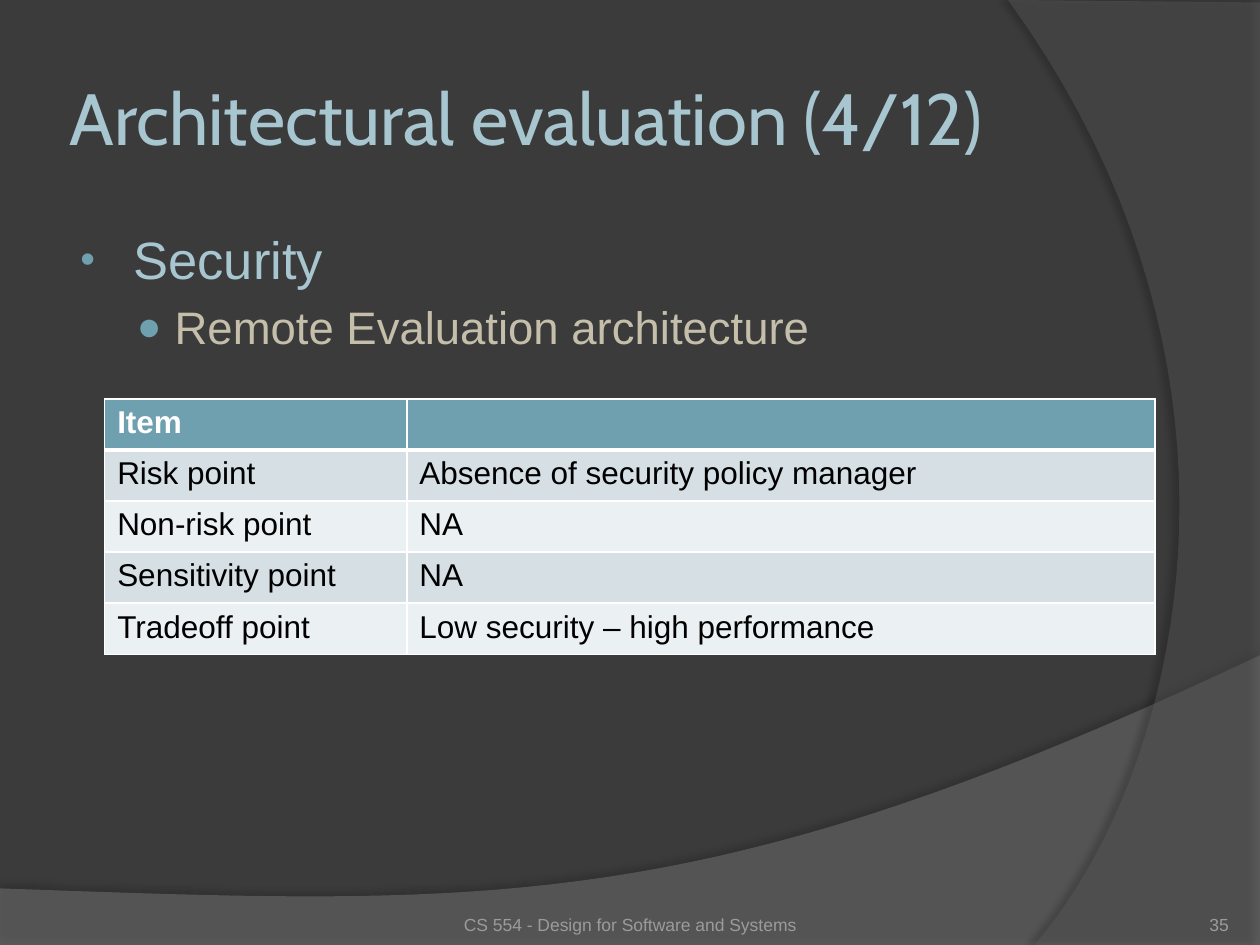
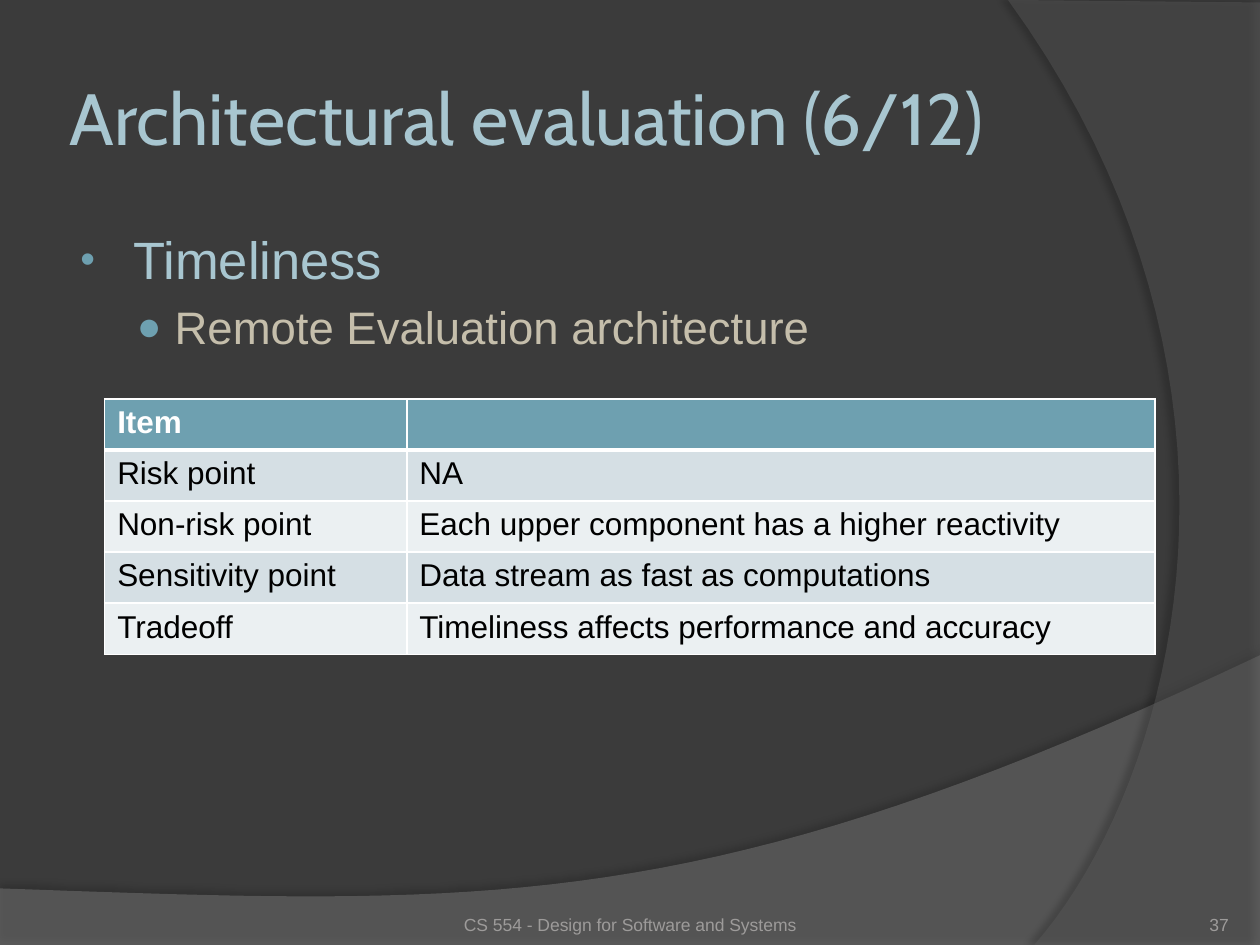
"""Build two architecture evaluation slides with a shared dark, curved theme."""
import pptx
import pptx.util
import pptx.dml.color
import pptx.enum.text
import pptx.oxml
import pptx.oxml.ns

Cm, Pt = pptx.util.Cm, pptx.util.Pt
ALIGN = pptx.enum.text.PP_ALIGN
ANCHOR = pptx.enum.text.MSO_ANCHOR
NS = pptx.oxml.ns.nsdecls("a")

HUES = {
    "back": "3B3B3B", "low": "7F7F7F", "side": "5E5E5E", "dark": "000000",
    "title": "A8C6D0", "sub": "C5BEAB", "mark": "6EA0B0", "foot": "9D9B9A",
    "white": "FFFFFF", "odd": "D5DFE4", "even": "EBF0F2",
}
COURSE = "CS 554 - Design for Software and Systems"
STYLE = "Remote Evaluation architecture"
SLIDES = [
    {"part": 4, "page": 35, "topic": "Security", "rows": [
        ("Item", ""),
        ("Risk point", "Absence of security policy manager"),
        ("Non-risk point", "NA"),
        ("Sensitivity point", "NA"),
        ("Tradeoff point", "Low security – high performance")]},
    {"part": 6, "page": 37, "topic": "Timeliness", "rows": [
        ("Item", ""),
        ("Risk point", "NA"),
        ("Non-risk point", "Each upper component has a higher reactivity"),
        ("Sensitivity point", "Data stream as fast as computations"),
        ("Tradeoff", "Timeliness affects performance and accuracy")]},
]
BANDS = [
    {"hue": "low", "alpha": 45,
     "edge": [(0, 19.05), (25.4, 19.05)],
     "curve": [(25.4, 13.21), (14.2, 18.52), (9.93, 18.26), (0, 17.91)],
     "shade": (35, 4, 3.5, 270)},
    {"hue": "side", "alpha": 40,
     "edge": [(25.4, 0.05), (25.4, 19.05)],
     "curve": [(20.85, 19.05), (23.75, 15.72), (25.86, 7.62), (20.32, 0)],
     "shade": (45, 4, 4, 180)},
]
LEVELS = [
    {"size": 30, "hue": "title", "left": 1.17, "hang": 1.07, "sign": "•", "pct": 80},
    {"size": 26, "hue": "sub", "left": 2.0, "hang": 0.76, "sign": "●", "pct": 90},
]
STEPS = 40


def tint(name):
    return pptx.dml.color.RGBColor.from_string(HUES[name])


def xml(text):
    return pptx.oxml.parse_xml(text)


def place(shape, left, top, width, height):
    shape.left, shape.top = Cm(left), Cm(top)
    shape.width, shape.height = Cm(width), Cm(height)


def inset(frame, left, top, right, bottom):
    frame.margin_left, frame.margin_top = Cm(left), Cm(top)
    frame.margin_right, frame.margin_bottom = Cm(right), Cm(bottom)


def write(para, text, size, hue, face="Arial", bold=False):
    run = para.add_run()
    run.text = text
    run.font.size, run.font.name, run.font.bold = Pt(size), face, bold
    run.font.color.rgb = tint(hue)


def bend(curve):
    for step in range(STEPS + 1):
        t = step / STEPS
        mix = ((1 - t) ** 3, 3 * t * (1 - t) ** 2, 3 * t * t * (1 - t), t ** 3)
        yield tuple(sum(m * p[axis] for m, p in zip(mix, curve)) for axis in (0, 1))


def add_band(slide, band, depth):
    spots = [(Cm(x), Cm(y)) for x, y in band["edge"] + list(bend(band["curve"]))]
    pen = slide.shapes.build_freeform(*spots[0])
    pen.add_line_segments(spots[1:], close=True)
    shape = pen.convert_to_shape()
    shape.fill.solid()
    shape.fill.fore_color.rgb = tint(band["hue"])
    shape.line.fill.background()
    shape.shadow.inherit = False
    node = shape.element
    node.xpath(".//p:spPr/a:solidFill/a:srgbClr")[0].append(
        xml(f'<a:alpha {NS} val="{band["alpha"] * 1000}"/>'))
    alpha, blur, dist, turn = band["shade"]
    node.xpath(".//a:effectLst")[0].append(xml(
        f'<a:outerShdw {NS} blurRad="{Pt(blur)}" dist="{Pt(dist)}" '
        f'dir="{turn * 60000}" algn="ctr" rotWithShape="0">'
        f'<a:srgbClr val="{HUES["dark"]}"><a:alpha val="{alpha * 1000}"/>'
        '</a:srgbClr></a:outerShdw>'))
    slide.shapes.element.insert(depth, node)


def add_title(slide, text):
    title = slide.shapes.title
    place(title, 1.27, 0.76, 20.75, 3.18)
    frame = title.text_frame
    frame.auto_size = pptx.enum.text.MSO_AUTO_SIZE.NONE
    frame.vertical_anchor = ANCHOR.MIDDLE
    inset(frame, 0.13, 0.13, 0.13, 0.13)
    para = frame.paragraphs[0]
    para.alignment = ALIGN.LEFT
    write(para, text, 41.4, "title", "Cabin")


def add_list(slide, lines):
    body = slide.placeholders[1]
    place(body, 1.27, 4.45, 22.86, 13.13)
    frame = body.text_frame
    frame.auto_size = pptx.enum.text.MSO_AUTO_SIZE.NONE
    inset(frame, 0.25, 0.13, 0.25, 0.13)
    for depth, (text, look) in enumerate(zip(lines, LEVELS)):
        para = frame.add_paragraph() if depth else frame.paragraphs[0]
        para.level = depth
        props = para._p.get_or_add_pPr()
        props.set("marL", str(Cm(look["left"])))
        props.set("indent", str(-Cm(look["hang"])))
        for part in (f'<a:buClr {NS}><a:srgbClr val="{HUES["mark"]}"/></a:buClr>',
                     f'<a:buSzPct {NS} val="{look["pct"] * 1000}"/>',
                     f'<a:buFont {NS} typeface="Arial"/>',
                     f'<a:buChar {NS} char="{look["sign"]}"/>'):
            props.append(xml(part))
        para.space_before = Pt(0.2 * look["size"] if depth else 0)
        write(para, text, look["size"], look["hue"])


def rule(cell, row):
    wide = {"L": 1, "R": 1, "T": 3 if row == 1 else 1, "B": 1 if row else 3}
    props = cell._tc.get_or_add_tcPr()
    for spot, (side, size) in enumerate(wide.items()):
        props.insert(spot, xml(
            f'<a:ln{side} {NS} w="{Pt(size)}"><a:solidFill>'
            f'<a:srgbClr val="{HUES["white"]}"/></a:solidFill></a:ln{side}>'))


def add_grid(slide, rows):
    grid = slide.shapes.add_table(len(rows), 2, Cm(2.11), Cm(8.04),
                                  Cm(21.17), Cm(1.03 * len(rows))).table
    grid.columns[0].width, grid.columns[1].width = Cm(6.09), Cm(15.08)
    for row, texts in enumerate(rows):
        fill = ("odd" if row % 2 else "even") if row else "mark"
        for col, text in enumerate(texts):
            cell = grid.cell(row, col)
            cell.fill.solid()
            cell.fill.fore_color.rgb = tint(fill)
            rule(cell, row)
            if text:
                write(cell.text_frame.paragraphs[0], text, 18,
                      "dark" if row else "white", bold=not row)


def add_foot(slide, text, left, width, align, base):
    box = slide.shapes.add_textbox(Cm(left), Cm(17.83), Cm(width), Cm(1.02))
    frame = box.text_frame
    frame.word_wrap = True
    frame.vertical_anchor = ANCHOR.BOTTOM
    inset(frame, 0, base, 0, 0)
    para = frame.paragraphs[0]
    para.alignment = align
    write(para, text, 10, "foot")


def main():
    deck = pptx.Presentation()
    deck.slide_width, deck.slide_height = Cm(25.4), Cm(19.05)
    back = deck.slide_master.background.fill
    back.solid()
    back.fore_color.rgb = tint("back")
    for data in SLIDES:
        slide = deck.slides.add_slide(deck.slide_layouts[1])
        for depth, band in enumerate(BANDS, 2):
            add_band(slide, band, depth)
        add_title(slide, f"Architectural evaluation ({data['part']}/12)")
        add_list(slide, (data["topic"], STYLE))
        add_grid(slide, data["rows"])
        add_foot(slide, str(data["page"]), 22.65, 2.12, ALIGN.RIGHT, 0)
        add_foot(slide, COURSE, 8.68, 8.04, ALIGN.CENTER, 0.13)
    deck.save("out.pptx")


if __name__ == "__main__":
    main()
